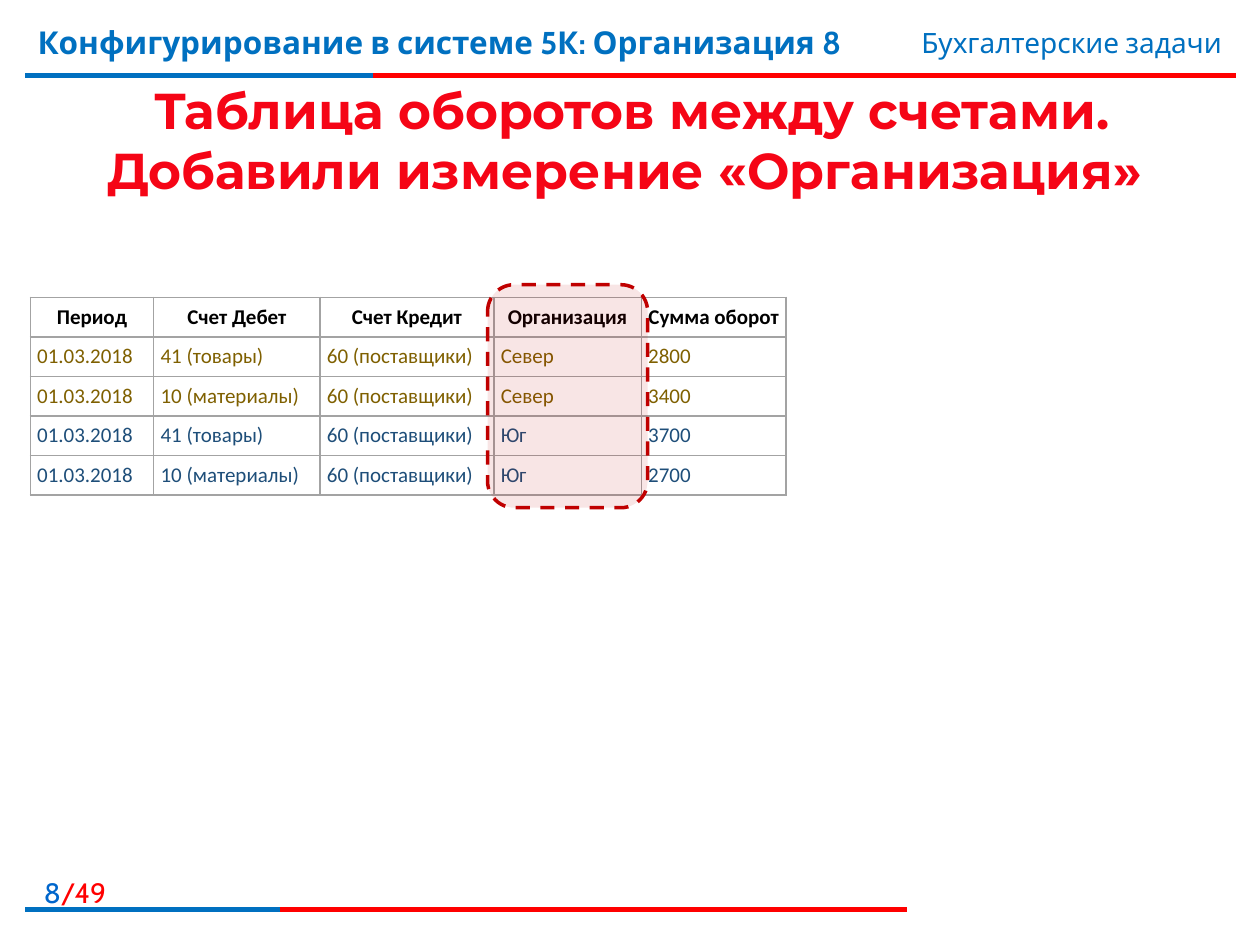
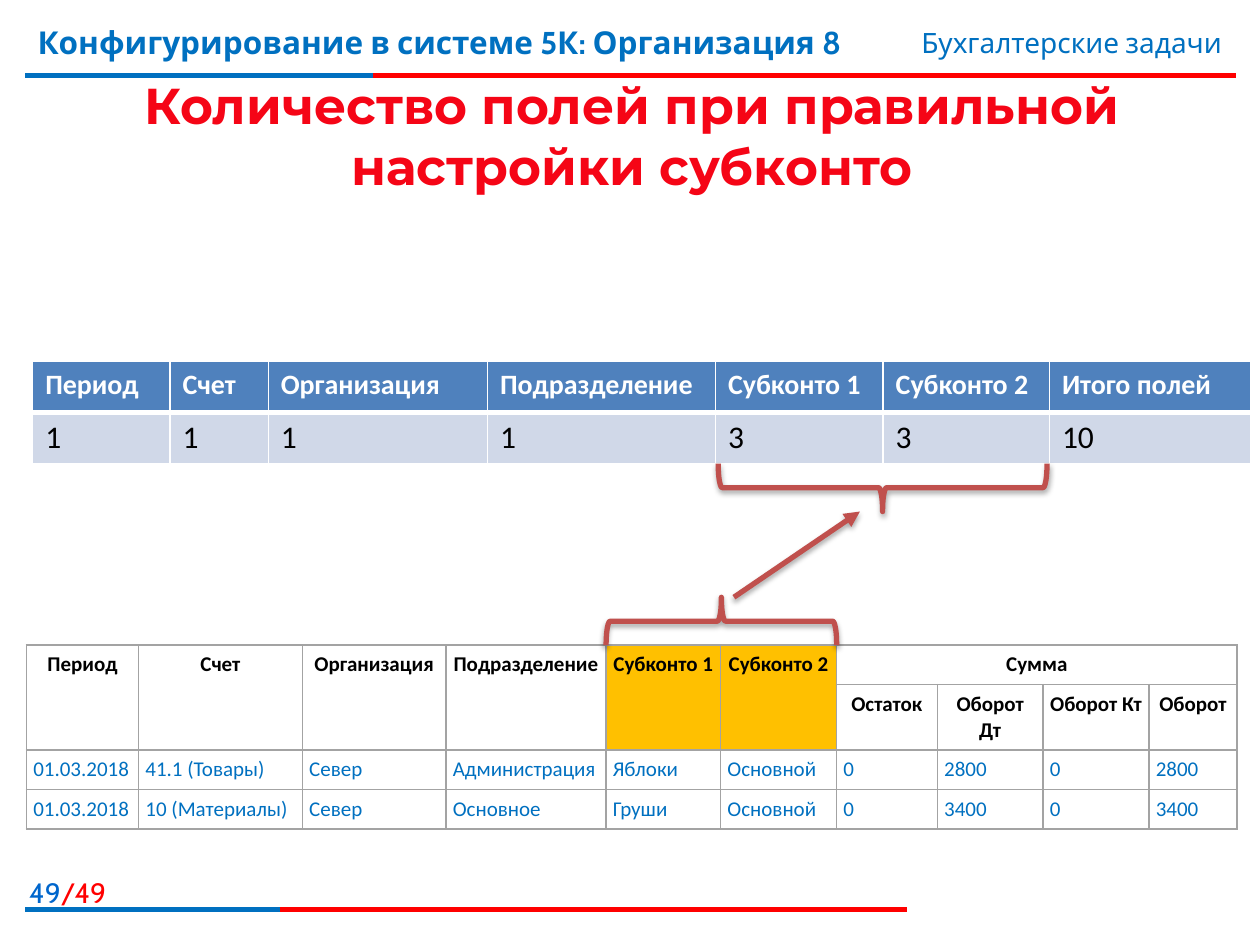
import pptx
import pptx.util
import pptx.dml.color
import pptx.enum.dml
import pptx.enum.shapes
import pptx.enum.text
import pptx.oxml.ns
from dataclasses import dataclass
from itertools import product
from lxml import etree

ALIGN = pptx.enum.text.PP_ALIGN
SHAPE = pptx.enum.shapes.MSO_SHAPE
COLS, ROWS = 100, 75  # grid over the slide
TOTAL = 49


@dataclass(frozen=True)
class Theme:
    blue: str = "0070C0"
    number: str = "0066CC"
    red: str = "FF0000"
    title_top: str = "F50516"
    crimson: str = "C00000"
    brick: str = "C0504D"
    black: str = "000000"
    white: str = "FFFFFF"
    olive: str = "7F6000"
    navy: str = "1E4E79"
    grid_line: str = "A3A3A3"
    head_fill: str = "4F81BD"
    band_fill: str = "D0D8E8"
    gold: str = "FFC000"
    title_font: str = "Montserrat"
    frame_font: str = "Cabin"
    table_font: str = "Calibri"
    title_size: float = 28.8
    course_size: float = 18
    frame_size: float = 16
    cell_size: float = 12
    head_size: float = 16
    count_size: float = 18


T = Theme()


@dataclass(frozen=True)
class Box:
    x: float
    y: float
    w: float
    h: float

    def emu(self):
        return [unit(v) for v in (self.x, self.y, self.w, self.h)]


def unit(n):
    """Length of n grid steps (columns and rows are equally long)."""
    return pptx.util.Inches(n * 10 / COLS)


def rgb(color):
    return pptx.dml.color.RGBColor.from_string(color)


def sub(parent, tag, **attrs):
    """Add a DrawingML child element."""
    el = etree.SubElement(parent, pptx.oxml.ns.qn(tag))
    for name, value in attrs.items():
        el.set(name, str(value))
    return el


def add_text(p, text, font=T.frame_font, size=T.frame_size, color=T.black,
             bold=False, align=ALIGN.LEFT):
    p.alignment = align
    r = p.add_run()
    r.text = text
    r.font.name, r.font.size, r.font.bold = font, pptx.util.Pt(size), bold
    r.font.color.rgb = rgb(color)
    return r


def add_box(s, box):
    tf = s.shapes.add_textbox(*box.emu()).text_frame
    tf.word_wrap = True
    return tf.paragraphs[0]


def set_stroke(sp, color, width, shadow=False):
    sp.line.color.rgb = rgb(color)
    sp.line.width = pptx.util.Pt(width)
    effects = sub(sp._element.spPr, "a:effectLst")
    if shadow:
        cast = sub(effects, "a:outerShdw", blurRad=40000, dist=23000,
                   dir=5400000, rotWithShape=0)
        sub(sub(cast, "a:srgbClr", val=T.black), "a:alpha", val=35000)


def add_line(s, x1, y1, x2, y2, color, shadow=False):
    line = s.shapes.add_connector(pptx.enum.shapes.MSO_CONNECTOR.STRAIGHT,
                                  unit(x1), unit(y1), unit(x2), unit(y2))
    set_stroke(line, color, 3, shadow)
    return line


# Frame shared by the slides
def add_rule(s, y, split, end):
    for x, color in ((end, T.red), (split, T.blue)):
        add_line(s, 2, y, x, y, color)


def add_frame(s, number):
    add_rule(s, 6, 29.6, 98.1)
    add_rule(s, 72.2, 22.2, 72)
    p = add_box(s, Box(0, 69, 9.4, 3.2))
    add_text(p, str(number), color=T.number, align=ALIGN.RIGHT)
    add_text(p, f"/{TOTAL}", color=T.red, align=ALIGN.RIGHT)
    add_text(add_box(s, Box(2, 1.3, 74, 6.2)),
             "Конфигурирование в системе 5К: Организация 8",
             size=T.course_size, color=T.blue, bold=True)
    add_text(add_box(s, Box(59.4, 1.5, 38.6, 3.7)), "Бухгалтерские задачи",
             color=T.blue, align=ALIGN.RIGHT)


def add_title(s, text, box):
    title = s.shapes.title
    title.left, title.top, title.width, title.height = box.emu()
    tf = title.text_frame
    tf.word_wrap = True
    tf.auto_size = pptx.enum.text.MSO_AUTO_SIZE.NONE
    tf.vertical_anchor = pptx.enum.text.MSO_ANCHOR.MIDDLE
    r = add_text(tf.paragraphs[0], text, font=T.title_font,
                 size=T.title_size, bold=True, align=ALIGN.CENTER)
    fill = r.font.fill
    fill.gradient()
    fill.gradient_angle = 270
    stops = ((0.55, T.title_top), (0.86, T.crimson))
    for stop, (position, color) in zip(fill.gradient_stops, stops):
        stop.position, stop.color.rgb = position, rgb(color)


def new_slide(prs, number, title, title_height):
    s = prs.slides.add_slide(prs.slide_layouts[5])
    add_frame(s, number)
    add_title(s, title, Box(2.1, 6.3, 96.1, title_height))
    return s


# Tables
def add_grid(s, x, y, widths, heights, pad, border):
    """Add an unstyled table; return it with the box it covers."""
    box = Box(x, y, sum(widths), sum(heights))
    table = s.shapes.add_table(len(heights), len(widths), *box.emu()).table
    table.first_row = table.horz_banding = False
    for column, w in zip(table.columns, widths):
        column.width = unit(w)
    for row, h in zip(table.rows, heights):
        row.height = unit(h)
    for r, c in product(range(len(heights)), range(len(widths))):
        cell = table.cell(r, c)
        cell.margin_left = cell.margin_right = unit(pad[0])
        cell.margin_top = cell.margin_bottom = unit(pad[1])
        for side in "LRTB":
            set_border(cell, side, border)
    return table, box


def set_border(cell, side, color, width=1):
    tc_pr = cell._tc.get_or_add_tcPr()
    ln = tc_pr.find(pptx.oxml.ns.qn(f"a:ln{side}"))
    if ln is None:
        ln = sub(tc_pr, f"a:ln{side}")
        sub(sub(ln, "a:solidFill"), "a:srgbClr", val=color)
    ln.set("w", str(pptx.util.Pt(width)))


def set_fill(cell, color):
    if color:
        cell.fill.solid()
        cell.fill.fore_color.rgb = rgb(color)
    else:
        cell.fill.background()


def fill_row(table, row, values, fill=None, **fmt):
    fmt = {"font": T.table_font, "size": T.cell_size, **fmt}
    for c, value in enumerate(values):
        cell = table.cell(row, c)
        add_text(cell.text_frame.paragraphs[0], value, **fmt)
        set_fill(cell, fill)


def column_span(box, widths, first, last):
    return box.x + sum(widths[:first]), sum(widths[first:last + 1])


# Marks
def add_highlight(s, box):
    sp = s.shapes.add_shape(SHAPE.ROUNDED_RECTANGLE, *box.emu())
    set_fill(sp, T.crimson)
    color = sp._element.spPr.find(".//" + pptx.oxml.ns.qn("a:srgbClr"))
    sub(color, "a:alpha", val=10000)
    set_stroke(sp, T.crimson, 2)
    sp.line.dash_style = pptx.enum.dml.MSO_LINE.DASH


def add_brace(s, box, rotation):
    """Lay a brace flat inside the box; 90 points up, 270 down."""
    cx, cy = box.x + box.w / 2, box.y + box.h / 2
    upright = Box(cx - box.h / 2, cy - box.w / 2, box.h, box.w)
    sp = s.shapes.add_shape(SHAPE.LEFT_BRACE, *upright.emu())
    sp.rotation = rotation
    set_fill(sp, None)
    set_stroke(sp, T.brick, 3, shadow=True)
    return cx


# Slide types
def turnover_slide(prs):
    s = new_slide(prs, 8, "Таблица оборотов между счетами. "
                          "Добавили измерение «Организация» ", 9.5)
    widths = [9.8, 13.2, 13.8, 11.7, 11.5]
    table, box = add_grid(s, 2.4, 23.6, widths, [3.14] * 5, (0.55, 0.55),
                          T.grid_line)
    fill_row(table, 0, ["Период", "Счет Дебет", "Счет Кредит", "Организация",
                        "Сумма оборот"], bold=True, align=ALIGN.CENTER)
    entries = [("41 (товары)", "Север", "2800", T.olive),
               ("10 (материалы)", "Север", "3400", T.olive),
               ("41 (товары)", "Юг", "3700", T.navy),
               ("10 (материалы)", "Юг", "2700", T.navy)]
    for row, (debit, company, amount, color) in enumerate(entries, 1):
        fill_row(table, row, ["01.03.2018", debit, "60 (поставщики)", company,
                              amount], color=color)
    x, w = column_span(box, widths, 3, 3)
    add_highlight(s, Box(x - 0.5, box.y - 1, w + 1, box.h + 2))


def field_count_table(s, x, y):
    widths = [10.9, 7.8, 17.4, 18.1, 13.3, 13.2, 16]
    table, box = add_grid(s, x, y, widths, [4.05] * 2, (1, 0.5), T.white)
    fill_row(table, 0, ["Период", "Счет", "Организация", "Подразделение",
                        "Субконто 1", "Субконто 2", "Итого полей"],
             fill=T.head_fill, size=T.head_size, color=T.white, bold=True)
    fill_row(table, 1, ["1", "1", "1", "1", "3", "3", "10"],
             fill=T.band_fill, size=T.count_size)
    for c in range(len(widths)):
        set_border(table.cell(0, c), "B", T.white, 3)
        set_border(table.cell(1, c), "T", T.white, 3)
    return box, column_span(box, widths, 4, 5)


def entries_table(s, x, y):
    widths = [8.9, 13, 11.4, 12.7, 9.1, 9.2, 8, 8.4, 8.4, 7]
    table, box = add_grid(s, x, y, widths, [3.14, 5.2, 3.14, 3.14],
                          (0.55, 0.55), T.grid_line)
    head = {"bold": True, "align": ALIGN.CENTER}
    fields = ["Период", "Счет", "Организация", "Подразделение", "Субконто 1",
              "Субконто 2"]
    fill_row(table, 0, fields + ["Сумма", "", "", ""], **head)
    fill_row(table, 1, [""] * len(fields) + ["Остаток", "Оборот Дт",
                                             "Оборот Кт", "Оборот"], **head)
    for c in range(len(fields)):
        table.cell(0, c).merge(table.cell(1, c))
    table.cell(0, 6).merge(table.cell(0, 9))
    for c in (4, 5):
        set_fill(table.cell(0, c), T.gold)
    entries = [("41.1 (Товары)", "Администрация", "Яблоки", "2800"),
               ("10 (Материалы)", "Основное", "Груши", "3400")]
    for row, (account, unit_name, item, amount) in enumerate(entries, 2):
        fill_row(table, row, ["01.03.2018", account, "Север", unit_name, item,
                              "Основной", "0", amount, "0", amount],
                 color=T.blue)
    return box, column_span(box, widths, 4, 5)


def field_count_slide(prs):
    s = new_slide(prs, 49, "Количество полей при правильной настройки "
                           "субконто", 8.8)
    counts, (count_x, count_w) = field_count_table(s, 2.6, 28.7)
    entries, (entry_x, entry_w) = entries_table(s, 2.1, 51.2)

    # Braces over both pairs of fields, joined by an arrow
    depth = 3.8
    below = counts.y + counts.h
    above = entries.y - depth
    count_tip = add_brace(s, Box(count_x + 0.2, below, count_w - 0.4, depth),
                          270)
    entry_tip = add_brace(s, Box(entry_x, above, entry_w, depth), 90)
    arrow = add_line(s, entry_tip + 1, above, count_tip - 1.8, below + depth,
                     T.brick, shadow=True)
    sub(arrow.line._get_or_add_ln(), "a:tailEnd", type="triangle")


def main():
    prs = pptx.Presentation()
    prs.slide_width, prs.slide_height = unit(COLS), unit(ROWS)
    turnover_slide(prs)
    field_count_slide(prs)
    prs.save("out.pptx")


if __name__ == "__main__":
    main()
